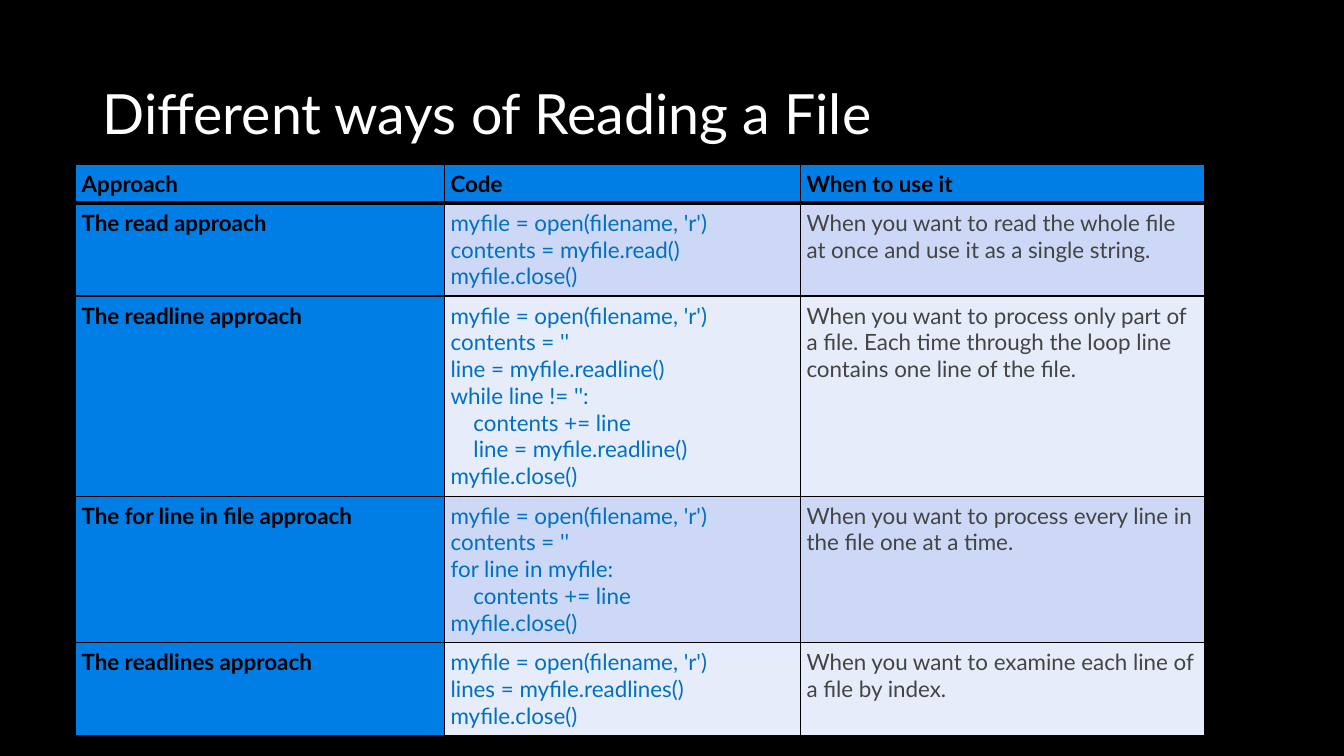
from lxml import etree
from pptx import Presentation
from pptx.dml.color import RGBColor
from pptx.enum.text import MSO_ANCHOR, PP_ALIGN
from pptx.oxml.ns import qn
from pptx.util import Inches, Pt

JUSTIFY, LEFT = PP_ALIGN.JUSTIFY, PP_ALIGN.LEFT
MIDDLE, TOP = MSO_ANCHOR.MIDDLE, MSO_ANCHOR.TOP
FONT = "Lato"
COLORS = {
    "background": "000000",
    "title": "FFFFFF",
    "label": "000000",
    "code": "0070C0",
    "usage": "444445",
    "border": "000000",
    "accent": "017EE5",
    "band_dark": "CCD8F5",
    "band_light": "E7ECFA",
}

HEADERS = ["Approach", "Code", "When to use it"]
APPROACHES = [
    ("The read approach",
     ["myfile = open(filename, 'r')",
      "contents = myfile.read()",
      "myfile.close()"],
     "When you want to read the whole file at once and use it as a single string."),
    ("The readline approach",
     ["myfile = open(filename, 'r')",
      "contents = ''",
      "line = myfile.readline()",
      "while line != '':",
      "    contents += line",
      "    line = myfile.readline()",
      "myfile.close()"],
     "When you want to process only part of a file. Each time through the loop "
     "line contains one line of the file."),
    ("The for line in file approach",
     ["myfile = open(filename, 'r')",
      "contents = ''",
      "for line in myfile:",
      "    contents += line",
      "myfile.close()"],
     "When you want to process every line in the file one at a time."),
    ("The readlines approach",
     ["myfile = open(filename, 'r')",
      "lines = myfile.readlines()",
      "myfile.close()"],
     "When you want to examine each line of a file by index."),
]
COLUMN_WIDTHS = [3.66, 3.53, 4.01]
ROW_HEIGHTS = [0.37, 0.91, 1.97, 1.44, 0.91]
CELL_INSET = 0.06


def rgb(name):
    return RGBColor.from_string(COLORS[name])


def add_run(p, text, size, color, bold=False):
    r = p.add_run()
    r.text = text
    r.font.name = FONT
    r.font.size = Pt(size)
    r.font.bold = bold
    r.font.color.rgb = rgb(color)


def set_borders(cell, top=1, bottom=1):
    tc_pr = cell._tc.get_or_add_tcPr()
    for side, width in (("L", 1), ("R", 1), ("T", top), ("B", bottom)):
        ln = etree.SubElement(tc_pr, qn(f"a:ln{side}"), w=str(Pt(width)))
        fill = etree.SubElement(ln, qn("a:solidFill"))
        etree.SubElement(fill, qn("a:srgbClr"), val=COLORS["border"])


def fill_cell(cell, lines, color, fill, bold=False, align=LEFT, after=8, **borders):
    set_borders(cell, **borders)
    cell.fill.solid()
    cell.fill.fore_color.rgb = rgb(fill)
    cell.vertical_anchor = TOP
    cell.margin_left = cell.margin_right = Inches(CELL_INSET)
    cell.margin_top = cell.margin_bottom = Inches(CELL_INSET)
    tf = cell.text_frame
    for i, line in enumerate(lines):
        p = tf.add_paragraph() if i else tf.paragraphs[0]
        p.alignment = align
        p.space_after = Pt(after)
        add_run(p, line, 16, color, bold)


def add_title(slide, left, top, width, height):
    sp = slide.shapes.add_textbox(Inches(left), Inches(top), Inches(width), Inches(height))
    tf = sp.text_frame
    tf.word_wrap = True
    tf.vertical_anchor = MIDDLE
    p = tf.paragraphs[0]
    p.line_spacing = 0.9
    add_run(p, "Different ways of Reading a File", 39.6, "title")


def add_approach_table(slide, left, top, width, height):
    table = slide.shapes.add_table(
        len(ROW_HEIGHTS), len(COLUMN_WIDTHS),
        Inches(left), Inches(top), Inches(width), Inches(height)).table
    for column, w in zip(table.columns, COLUMN_WIDTHS):
        column.width = Inches(w)
    for row, h in zip(table.rows, ROW_HEIGHTS):
        row.height = Inches(h)

    # Header row with a thick rule below
    for c, header in enumerate(HEADERS):
        fill_cell(table.cell(0, c), [header], "label", "accent",
                  bold=True, align=JUSTIFY, bottom=3)

    # One banded row per approach
    for r, (name, code, usage) in enumerate(APPROACHES, start=1):
        band = "band_dark" if r % 2 else "band_light"
        rule = 3 if r == 1 else 1
        fill_cell(table.cell(r, 0), [name], "label", "accent", bold=True, top=rule)
        fill_cell(table.cell(r, 1), code, "code", band, after=0, top=rule)
        fill_cell(table.cell(r, 2), [usage], "usage", band, top=rule)


def main():
    prs = Presentation()
    prs.slide_width, prs.slide_height = Inches(13.33), Inches(7.5)
    slide = prs.slides.add_slide(prs.slide_layouts[6])
    slide.background.fill.solid()
    slide.background.fill.fore_color.rgb = rgb("background")
    add_title(slide, 0.92, 0.8, 11.5, 0.72)
    add_approach_table(slide, 0.75, 1.63, sum(COLUMN_WIDTHS), sum(ROW_HEIGHTS))
    prs.save("out.pptx")


if __name__ == "__main__":
    main()
